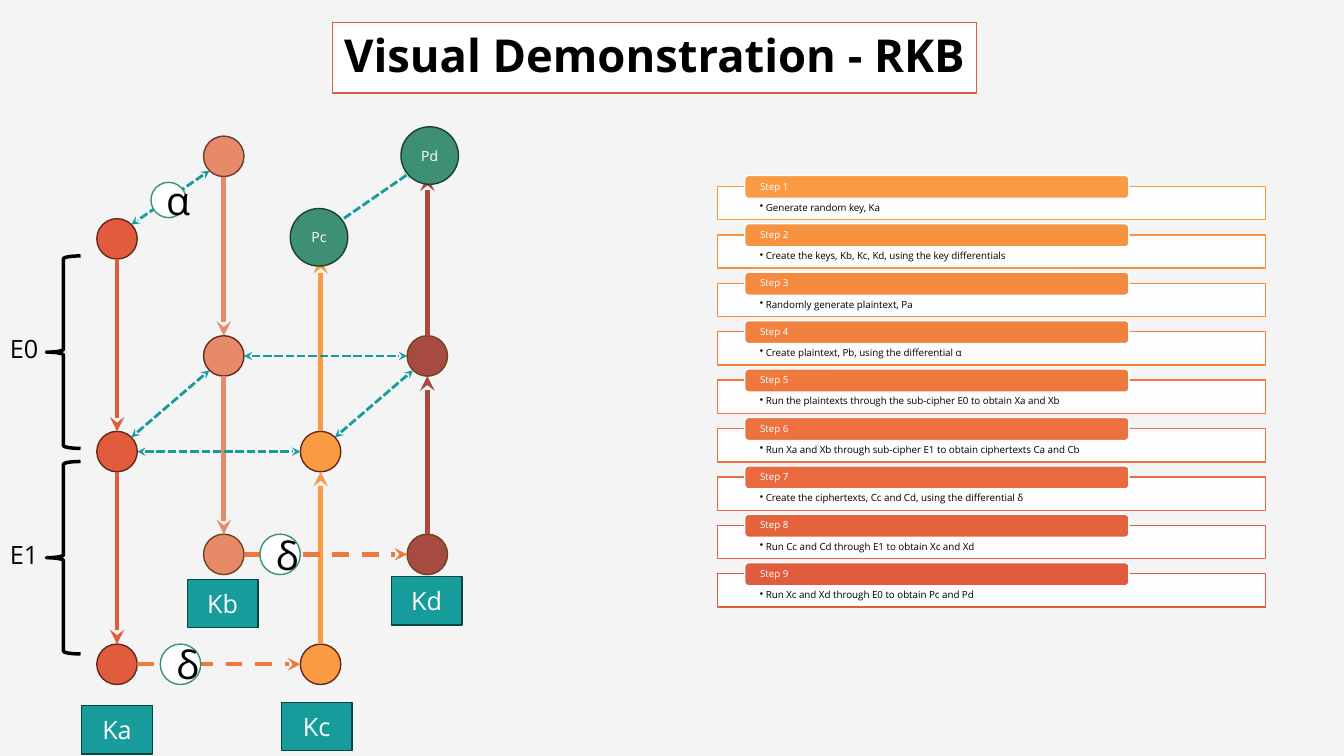
from math import hypot

from lxml import etree
from pptx import Presentation
from pptx.dml.color import RGBColor
from pptx.enum import dml, shapes, text
from pptx.oxml.ns import qn
from pptx.util import Cm, Pt

FONT = "Open Sans"
SHAPE = shapes.MSO_SHAPE
DASH = dml.MSO_LINE
COLOURS = {
    "background": "F4F4F4", "white": "FFFFFF", "black": "000000",
    "Ka": "E15C3D", "Kb": "E78A67", "Kc": "FA9A42", "Kd": "A74B40",
    "rust": "63281B", "umber": "653C2D", "brown": "6E431D",
    "teal": "169C9A", "dark teal": "0A4443",
    "green": "3D9072", "dark green": "1B3F32", "shift": "EE793F",
    "Step 1": "FA9A42", "Step 2": "F79241", "Step 3": "F48940",
    "Step 4": "F1813F", "Step 5": "EE793F", "Step 6": "EB723E",
    "Step 7": "E86A3E", "Step 8": "E4633D", "Step 9": "E15C3D",
}
STEPS = [
    "Generate random key, Ka",
    "Create the keys, Kb, Kc, Kd, using the key differentials",
    "Randomly generate plaintext, Pa",
    "Create plaintext, Pb, using the differential α",
    "Run the plaintexts through the sub-cipher E0 to obtain Xa and Xb",
    "Run Xa and Xb through sub-cipher E1 to obtain ciphertexts Ca and Cb",
    "Create the ciphertexts, Cc and Cd, using the differential δ",
    "Run Cc and Cd through E1 to obtain Xc and Xd",
    "Run Xc and Xd through E0 to obtain Pc and Pd",
]
# Cipher grid in cm: one column per key, with a front and a back set of rows
COLUMN_X = {"Ka": 2.95, "Kb": 5.64, "Kc": 8.08, "Kd": 10.77}
FRONT_ROWS = (6.02, 11.38, 16.74)
BACK_ROWS = (3.94, 8.97, 13.97)
ROWS = {"Ka": FRONT_ROWS, "Kb": BACK_ROWS, "Kc": FRONT_ROWS, "Kd": BACK_ROWS}
NODE_EDGES = {
    "Ka": ("rust", "rust", "rust"), "Kb": ("umber", "rust", "brown"),
    "Kc": (None, "rust", "rust"), "Kd": (None, "brown", "brown"),
}
NODE_SIZE = 1.02


def colour(name):
    return RGBColor.from_string(COLOURS[name])


def write(frame, content, size, ink="white", bold=False, align=None,
          anchor=text.MSO_ANCHOR.MIDDLE, insets=None, spacing=None, bullet=False):
    frame.word_wrap = True
    frame.auto_size = text.MSO_AUTO_SIZE.NONE
    frame.vertical_anchor = anchor
    if insets:
        (frame.margin_left, frame.margin_top,
         frame.margin_right, frame.margin_bottom) = map(Cm, insets)
    paragraph = frame.paragraphs[0]
    paragraph.alignment = align
    paragraph.line_spacing = spacing
    if bullet:
        properties = paragraph._p.get_or_add_pPr()
        properties.set("marL", str(Cm(0.15)))
        properties.set("indent", str(-Cm(0.15)))
        etree.SubElement(properties, qn("a:buChar")).set("char", "•")
    run = paragraph.add_run()
    run.text = content
    run.font.name = FONT
    run.font.size = Pt(size)
    run.font.bold = bold
    run.font.color.rgb = colour(ink)


def add_block(slide, kind, box, fill, edge, edge_width=1):
    block = slide.shapes.add_shape(kind, *map(Cm, box))
    block.shadow.inherit = False
    if fill:
        block.fill.solid()
        block.fill.fore_color.rgb = colour(fill)
    else:
        block.fill.background()
    block.line.color.rgb = colour(edge)
    block.line.width = Pt(edge_width)
    return block


def add_circle(slide, centre, diameter, fill, edge, label=None, size=28, ink="black"):
    x, y = centre
    box = (x - diameter / 2, y - diameter / 2, diameter, diameter)
    circle = add_block(slide, SHAPE.FLOWCHART_CONNECTOR, box, fill, edge)
    if label:
        write(circle.text_frame, label, size, ink, align=text.PP_ALIGN.CENTER)


def node_centre(key, row):
    return COLUMN_X[key], ROWS[key][row]


def add_arrow(slide, start, end, ink, width, dash=None, two_way=False):
    """Join two nodes, given as (key, row), at whichever of eight rim points face."""
    (x1, y1), (x2, y2) = node_centre(*start), node_centre(*end)
    step_x = (x2 > x1) - (x2 < x1)
    step_y = (y2 > y1) - (y2 < y1)
    reach = NODE_SIZE / 2 / hypot(step_x, step_y)
    arrow = slide.shapes.add_connector(
        shapes.MSO_CONNECTOR.STRAIGHT,
        Cm(x1 + reach * step_x), Cm(y1 + reach * step_y),
        Cm(x2 - reach * step_x), Cm(y2 - reach * step_y))
    arrow.line.color.rgb = colour(ink)
    arrow.line.width = Pt(width)
    if dash:
        arrow.line.dash_style = dash
    properties = arrow._element.spPr
    outline = properties.find(qn("a:ln"))
    for end_tag in ("a:headEnd", "a:tailEnd") if two_way else ("a:tailEnd",):
        etree.SubElement(outline, qn(end_tag)).set("type", "stealth")
    etree.SubElement(properties, qn("a:effectLst"))


def add_title(slide):
    title = slide.shapes.title
    title.left, title.top, title.width, title.height = map(Cm, (8.38, 0.56, 16.23, 1.78))
    title.fill.solid()
    title.fill.fore_color.rgb = colour("white")
    title.line.color.rgb = colour("Ka")
    title.line.width = Pt(1)
    write(title.text_frame, "Visual Demonstration - RKB", 32.4, "black", bold=True,
          align=text.PP_ALIGN.CENTER, spacing=0.9)


def add_cipher_grid(slide):
    for key, edges in NODE_EDGES.items():
        for row, edge in enumerate(edges):
            if edge:
                add_circle(slide, node_centre(key, row), NODE_SIZE, key, edge)
    for key in COLUMN_X:
        path_rows = (0, 1, 2) if key in ("Ka", "Kb") else (2, 1, 0)
        for start, end in zip(path_rows, path_rows[1:]):
            add_arrow(slide, (key, start), (key, end), key, 3.5)
    for back, front in (("Kb", "Ka"), ("Kd", "Kc")):
        for row in (0, 1):
            add_arrow(slide, (back, row), (front, row), "teal", 2, DASH.SQUARE_DOT, True)
    for left, right in (("Ka", "Kc"), ("Kb", "Kd")):
        add_arrow(slide, (left, 2), (right, 2), "shift", 3, DASH.DASH)
        add_arrow(slide, (left, 1), (right, 1), "teal", 2, DASH.SQUARE_DOT, True)


def add_step(slide, index, action):
    name = f"Step {index + 1}"
    top = 4.7 + 1.22 * index
    body = add_block(slide, SHAPE.RECTANGLE, (18.08, top, 13.82, 0.84), "white", name)
    tint = body._element.spPr.find(qn("a:solidFill"))[0]
    etree.SubElement(tint, qn("a:alpha")).set("val", "90000")
    write(body.text_frame, action, 7, "black", anchor=text.MSO_ANCHOR.TOP,
          align=text.PP_ALIGN.LEFT, insets=(1.07, 0.41, 1.07, 0.13),
          spacing=0.9, bullet=True)
    header = add_block(slide, SHAPE.ROUNDED_RECTANGLE,
                       (18.77, top - 0.28, 9.68, 0.58), name, "white")
    write(header.text_frame, name, 7, align=text.PP_ALIGN.LEFT,
          insets=(0.36, 0, 0.36, 0), spacing=0.9)


def add_key_tag(slide, key, left, top):
    tag = add_block(slide, SHAPE.RECTANGLE, (left, top, 1.78, 1.22), "teal", "dark teal")
    write(tag.text_frame, key, 18, align=text.PP_ALIGN.CENTER)


def add_sub_cipher(slide, name, top):
    add_block(slide, SHAPE.LEFT_BRACE, (1.17, top, 0.86, 4.85), None, "black", 2.5)
    label = slide.shapes.add_textbox(Cm(0), Cm(top + 1.83), Cm(1.37), Cm(1.02))
    write(label.text_frame, name, 18, "black", anchor=text.MSO_ANCHOR.TOP)


def main():
    deck = Presentation()
    deck.slide_width, deck.slide_height = Cm(33.87), Cm(19.05)
    slide = deck.slides.add_slide(deck.slide_layouts[5])
    slide.background.fill.solid()
    slide.background.fill.fore_color.rgb = colour("background")
    add_title(slide)
    add_cipher_grid(slide)
    for index, action in enumerate(STEPS):
        add_step(slide, index, action)
    for key, left, top in (("Ka", 2.06, 17.78), ("Kb", 4.72, 14.6),
                           ("Kd", 9.86, 14.53), ("Kc", 7.09, 17.7)):
        add_key_tag(slide, key, left, top)
    for name, top in (("E0", 6.45), ("E1", 11.63)):
        add_sub_cipher(slide, name, top)
    for symbol, centre, diameter in (("α", (4.25, 5.04), 0.89),
                                     ("δ", (4.55, 16.74), NODE_SIZE),
                                     ("δ", (7.06, 13.97), NODE_SIZE)):
        add_circle(slide, centre, diameter, "white", "green", symbol)
    for plaintext, centre in (("Pc", (8.04, 5.98)), ("Pd", (10.83, 3.92))):
        add_circle(slide, centre, 1.45, "green", "dark green", plaintext, 10, "white")
    deck.save("out.pptx")


if __name__ == "__main__":
    main()
